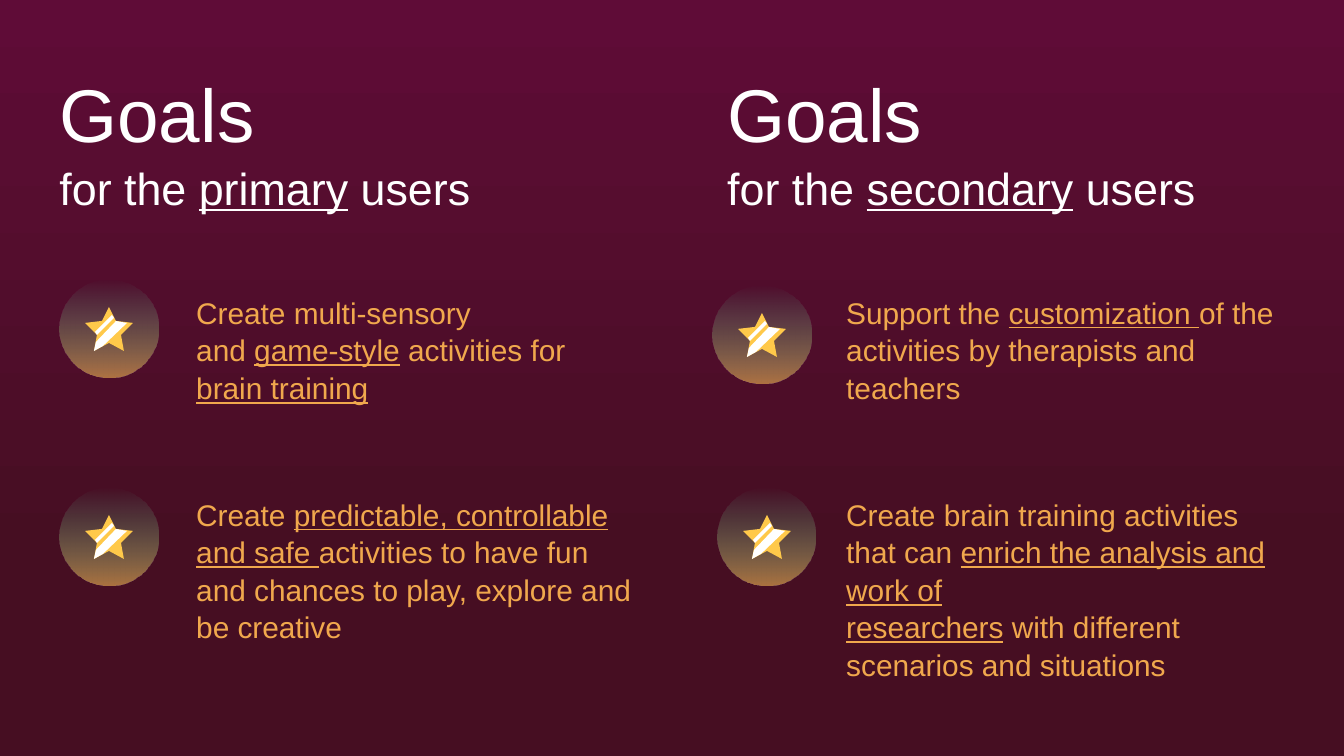
"""Build the slide of goals for primary and secondary users."""
import dataclasses

import pptx
import pptx.dml.color
import pptx.enum.shapes
import pptx.enum.text
import pptx.oxml
import pptx.oxml.ns
import pptx.util


@dataclasses.dataclass(frozen=True)
class Theme:
    font: str = "Arial"
    sky: str = "5F0C37"
    ground: str = "460E22"
    heading: str = "FFFFFF"
    body: str = "F0A84D"
    glow: str = "FEC659"
    fade: str = "4AFFC3"
    star: str = "FFC94A"
    shine: str = "FFFFFF"
    heading_size: int = 40
    subheading_size: int = 24
    body_size: int = 16
    line_spacing: float = 1.05


THEME = Theme()
SCALE = 914400 / 134.4
BADGE_SIZE = 98
STAR = [(49, 27), (42, 41), (25, 43), (37, 55), (34, 71),
        (49, 63), (64, 71), (61, 55), (73, 43), (56, 41)]
STRIPE = [(52, 35), (35, 52), (37, 55), (54, 38)]
BLADE = [(56, 41), (36, 62), (34, 71), (43, 66), (67, 43)]
BADGE_PARTS = [(STAR, THEME.star), (STRIPE, THEME.shine), (BLADE, THEME.shine)]

HEADINGS = [((46, 41, 523, 196), "for the _primary_ users"),
            ((714, 41, 609, 196), "for the _secondary_ users")]
GOALS = [
    ((60, 280), (183, 286, 426, 122),
     ["Create multi-sensory", "and _game-style_ activities for _brain training_"]),
    ((60, 488), (183, 488, 466, 195),
     ["Create _predictable, controllable and safe _activities to have fun",
      "and chances to play, explore and be creative"]),
    ((713, 286), (833, 286, 464, 122),
     ["Support the _customization _of the activities by therapists and teachers"]),
    ((718, 488), (833, 488, 464, 195),
     ["Create brain training activities that can _enrich the analysis and work of_",
      "_researchers_ with different scenarios and situations"]),
]


def px(*lengths):
    return [round(length * SCALE) for length in lengths]


def write(para, marked, size, color):
    para.alignment = pptx.enum.text.PP_ALIGN.LEFT
    para.line_spacing = THEME.line_spacing
    para.font.name = THEME.font
    para.font.size = pptx.util.Pt(size)
    para.font.color.rgb = pptx.dml.color.RGBColor.from_string(color)
    for index, text in enumerate(marked.split("_")):
        if text:
            span = para.add_run()
            span.text = text
            if index % 2:
                span.font.underline = True


deck = pptx.Presentation()
deck.slide_width, deck.slide_height = px(1344, 756)
page = deck.slides.add_slide(deck.slide_layouts[5])

backdrop = page.background.fill
backdrop.gradient()
backdrop.gradient_angle = 270
for stop, color, position in zip(backdrop.gradient_stops, (THEME.sky, THEME.ground), (0, 0.74)):
    stop.color.rgb = pptx.dml.color.RGBColor.from_string(color)
    stop.position = position

for index, (place, subheading) in enumerate(HEADINGS):
    box = page.shapes.add_textbox(*px(*place)) if index else page.shapes.title
    box.left, box.top, box.width, box.height = px(*place)
    frame = box.text_frame
    frame.word_wrap = True
    frame.auto_size = pptx.enum.text.MSO_AUTO_SIZE.NONE
    frame.vertical_anchor = pptx.enum.text.MSO_ANCHOR.MIDDLE
    frame.margin_left = frame.margin_right = pptx.util.Inches(0.1)
    frame.margin_top = frame.margin_bottom = pptx.util.Inches(0.1)
    para = frame.paragraphs[0]
    span = para.add_run()
    span.text = "Goals"
    span.font.size = pptx.util.Pt(THEME.heading_size)
    para.add_line_break()
    write(para, subheading, THEME.subheading_size, THEME.heading)

for corner, place, lines in GOALS:
    badge = page.shapes.add_group_shape()
    disc = badge.shapes.add_shape(
        pptx.enum.shapes.MSO_SHAPE.OVAL, *px(*corner, BADGE_SIZE, BADGE_SIZE))
    disc.shadow.inherit = False
    disc.line.fill.background()
    disc.fill.gradient()
    disc.fill.gradient_angle = 90
    for stop, color, position in zip(disc.fill.gradient_stops, (THEME.glow, THEME.fade), (0, 1)):
        stop.color.rgb = pptx.dml.color.RGBColor.from_string(color)
        stop.position = position
    tints = disc.fill._xPr.iterfind(".//" + pptx.oxml.ns.qn("a:gs") + "/" + pptx.oxml.ns.qn("a:srgbClr"))
    for tint, opacity in zip(tints, (55, 0)):
        alpha = pptx.oxml.parse_xml(f'<a:alpha {pptx.oxml.ns.nsdecls("a")} val="{opacity * 1000}"/>')
        tint.append(alpha)
    for points, color in BADGE_PARTS:
        outline = badge.shapes.build_freeform(*points[0], scale=SCALE)
        outline.add_line_segments(points[1:], close=True)
        part = outline.convert_to_shape(*px(*corner))
        part.shadow.inherit = False
        part.line.fill.background()
        part.fill.solid()
        part.fill.fore_color.rgb = pptx.dml.color.RGBColor.from_string(color)

    box = page.shapes.add_textbox(*px(*place))
    frame = box.text_frame
    frame.word_wrap = True
    frame.auto_size = pptx.enum.text.MSO_AUTO_SIZE.SHAPE_TO_FIT_TEXT
    for index, line in enumerate(lines):
        para = frame.add_paragraph() if index else frame.paragraphs[0]
        write(para, line, THEME.body_size, THEME.body)

deck.save("out.pptx")
